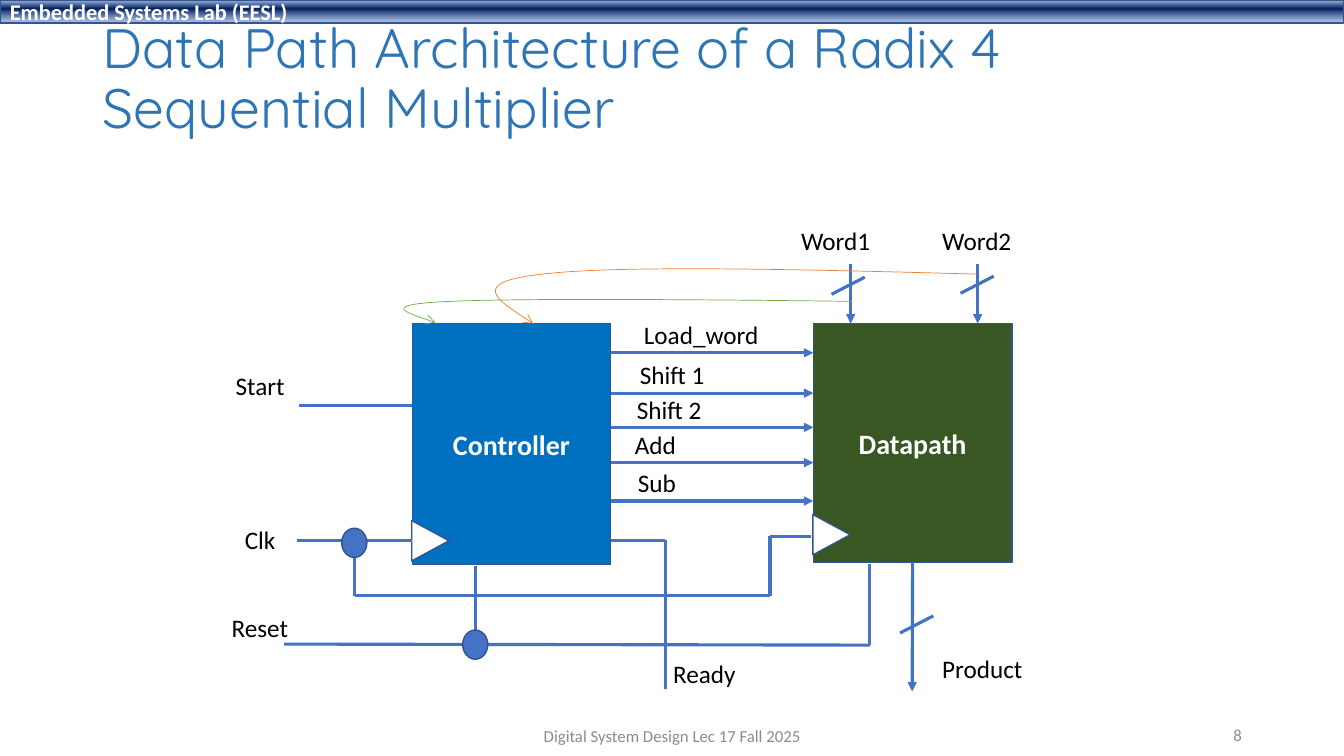
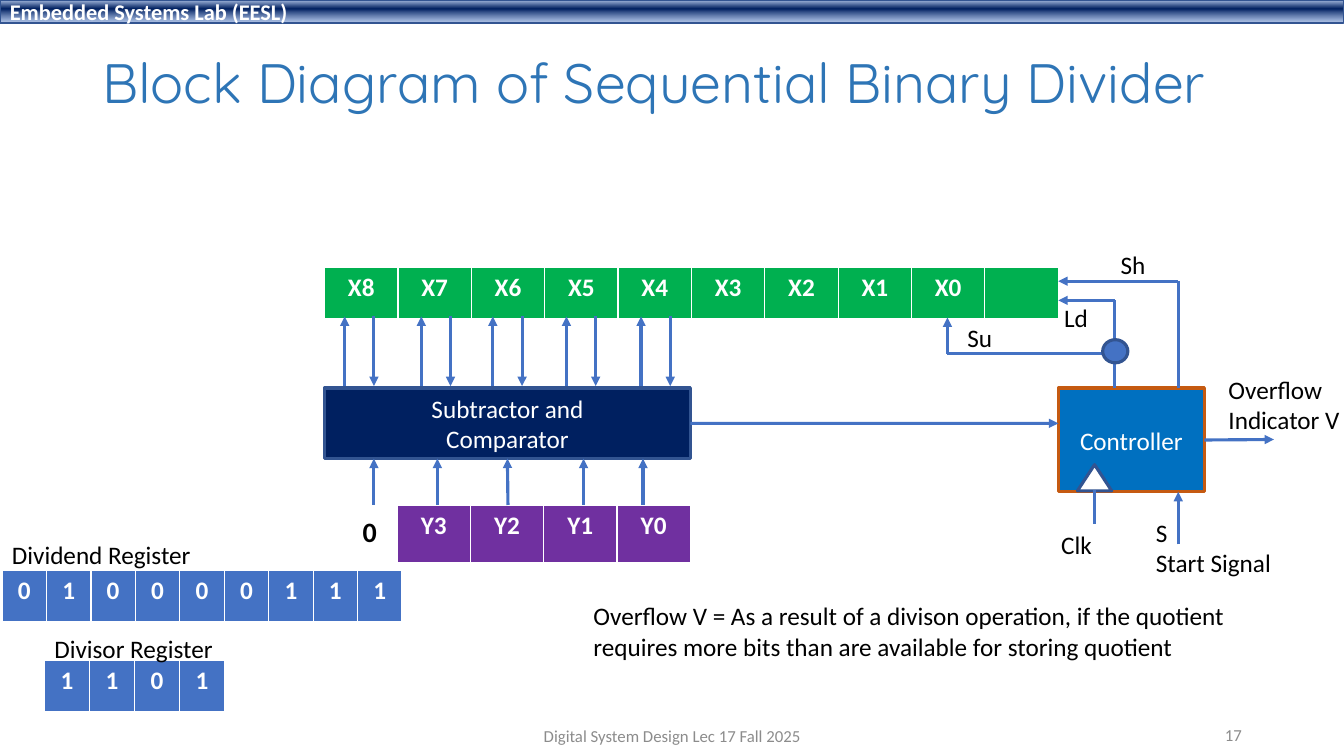
from lxml.etree import SubElement
from pptx import Presentation
from pptx.dml.color import RGBColor
from pptx.enum.shapes import MSO_CONNECTOR, MSO_SHAPE
from pptx.enum.text import MSO_ANCHOR, MSO_AUTO_SIZE, PP_ALIGN
from pptx.oxml.ns import qn
from pptx.util import Cm, Pt

COLORS = {
    "title": "2E75B6", "ink": "000000", "muted": "8C8C8C", "white": "FFFFFF",
    "wire": "4472C4", "edge": "325491", "blue": "0070C0", "navy": "002060",
    "forest": "385723", "green": "00B050", "purple": "7030A0", "rust": "C55A11",
    "leaf": "70AD47", "orange": "ED7D31",
}
BAND_STOPS = [(2, "ABC0E4", 100), (38, "002060", 100), (93, "7E9ED6", 64)]
LAB = "Embedded Systems Lab (EESL)"
FOOTER = "Digital System Design Lec 17 Fall 2025"

# All places below are in inches: x, y, then width and height.
MULTIPLIER = {
    "title": "Data Path Architecture of a Radix 4 Sequential Multiplier",
    "title_height": 1.3,
    "number": "8",
    "signals": [("Load_word", 6.29, 3.5), ("Shift 1", 6.25, 3.9), ("Shift 2", 6.22, 4.24),
                ("Add", 6.2, 4.59), ("Sub", 6.23, 4.97)],
    "labels": [("Start", 2.24, 3.62, 0.69), ("Clk", 2.33, 5.15, 0.51),
               ("Reset", 2.2, 6.03, 0.77), ("Ready", 6.58, 6.48, 0.83),
               ("Word1", 7.85, 2.19, 0.89), ("Word2", 9.25, 2.19, 0.89),
               ("Product", 9.25, 6.43, 1.01)],
    "wires": [
        [(2.97, 4.02), (4.09, 4.02)],
        [(4.09, 5.36), (2.95, 5.36)],
        [(8.05, 5.32), (7.64, 5.32), (7.64, 5.91), (3.52, 5.91), (3.52, 5.36)],
        [(4.72, 5.62), (4.72, 6.42)],
        [(8.63, 5.6), (8.63, 6.4), (2.82, 6.39)],
        [(6.06, 5.36), (6.6, 5.36), (6.6, 6.84)],
    ],
    "words": [8.44, 9.7],
    "bus_marks": [(8.25, 2.92), (9.53, 2.91), (8.93, 6.28)],
    "clock_marks": [(4.07, 5.18), (8.05, 5.12)],
    "dots": [(3.39, 5.24), (4.59, 6.25)],
    "curves": [
        ("leaf", [(8.45, 2.99), (6.8, 2.97), (5.16, 2.96), (4.47, 2.99),
                  (3.78, 3.02), (4.05, 3.11), (4.32, 3.2)]),
        ("orange", [(9.7, 2.72), (7.91, 2.67), (6.12, 2.63), (5.38, 2.72),
                    (4.65, 2.8), (4.97, 3), (5.29, 3.21)]),
    ],
}
DIVIDER = {
    "title": "Block Diagram of Sequential Binary Divider",
    "title_height": 1.4,
    "number": "17",
    "registers": [
        (["X8", "X7", "X6", "X5", "X4", "X3", "X2", "X1", "X0", ""],
         (3.22, 2.65, 7.28, 0.51), "green"),
        (["Y3", "Y2", "Y1", "Y0"], (3.94, 5.01, 2.91, 0.57), "purple"),
        (list("010000111"), (0.02, 5.66, 3.97, 0.51), "wire"),
        (list("1101"), (0.44, 6.55, 1.79, 0.51), "wire"),
    ],
    "exchange": [3.42, 4.18, 4.89, 5.62, 6.36],
    "divisor_inputs": [3.71, 4.34, 5.79, 6.38],
    "wires": [[(10.86, 4.86), (10.86, 5.2)]],
    "arrows": [
        [(11.06, 3.85), (11.06, 2.98), (10.5, 2.98)],
        [(11.69, 3.85), (11.69, 2.79), (10.5, 2.79)],
        [(11.06, 3.51), (9.4, 3.51), (9.4, 3.15)],
        [(11.69, 5.4), (11.69, 4.88)],
    ],
    "labels": [
        ("Clk", 10.43, 5.2, 0.51), ("Ld", 10.46, 2.95, 0.44),
        ("Sh", 11.02, 2.42, 0.45), ("Su", 9.5, 3.15, 0.45),
        ("Overflow\nIndicator V", 12.09, 3.66, 1.32),
        ("S\nStart Signal", 11.37, 5.08, 1.35),
        ("Dividend Register", 0.02, 5.3, 2), ("Divisor Register", 0.44, 6.23, 1.79),
        ("Overflow V = As a result of a divison operation, if the quotient\n"
         "requires more bits than are available for storing quotient", 5.79, 5.91, 6.54),
    ],
}


def inches(*values):
    return [Cm(value * 2.54) for value in values]


def color(name):
    return RGBColor.from_string(COLORS[name])


def write(frame, text, size=18, ink="ink", bold=False, font="Calibri",
          align=PP_ALIGN.LEFT, anchor=MSO_ANCHOR.MIDDLE, spacing=None, wrap=True):
    frame.word_wrap = wrap
    frame.vertical_anchor = anchor
    for index, line in enumerate(text.split("\n")):
        paragraph = frame.add_paragraph() if index else frame.paragraphs[0]
        paragraph.alignment = align
        if spacing:
            paragraph.line_spacing = spacing
        run = paragraph.add_run()
        run.text = line
        run.font.name, run.font.size, run.font.bold = font, Pt(size), bold
        run.font.color.rgb = color(ink)


def text_area(slide, place, text, **style):
    write(slide.shapes.add_textbox(*inches(*place)).text_frame, text, **style)


def label(slide, text, x, y, width, **style):
    height = 0.4 + 0.31 * text.count("\n")
    frame = slide.shapes.add_textbox(*inches(x, y, width, height)).text_frame
    write(frame, text, anchor=MSO_ANCHOR.TOP, wrap=False, **style)
    frame.auto_size = MSO_AUTO_SIZE.SHAPE_TO_FIT_TEXT


def block(slide, place, fill, kind=MSO_SHAPE.RECTANGLE, edge="edge", weight=1, turn=0):
    shape = slide.shapes.add_shape(kind, *inches(*place))
    shape.shadow.inherit = False
    shape.fill.solid()
    shape.fill.fore_color.rgb = color(fill)
    shape.line.color.rgb = color(edge)
    shape.line.width = Pt(weight)
    shape.rotation = turn
    return shape


def named_block(slide, place, fill, name, size=18, bold=False, **look):
    shape = block(slide, place, fill, **look)
    write(shape.text_frame, name, size=size, ink="white", bold=bold, align=PP_ALIGN.CENTER)
    return shape


def add_arrowhead(shape, style):
    SubElement(shape.element.spPr.get_or_add_ln(), qn("a:tailEnd"), type=style)


def wire(slide, points, arrow=False):
    """Draw one straight connector per leg and return the last one."""
    for start, end in zip(points, points[1:]):
        leg = slide.shapes.add_connector(MSO_CONNECTOR.STRAIGHT, *inches(*start, *end))
        leg.line.color.rgb = color("wire")
        leg.line.width = Pt(2.25)
        SubElement(leg.element.spPr, qn("a:effectLst"))
    if arrow:
        add_arrowhead(leg, "triangle")
    return leg


def curved_arrow(slide, points, ink):
    """Draw a chain of cubic curves: a start, then three points for each curve."""
    points = [inches(*point) for point in points]
    builder = slide.shapes.build_freeform(*points[0])
    builder.add_line_segments(points[1:], close=False)
    curve = builder.convert_to_shape()
    curve.shadow.inherit = False
    curve.fill.background()
    curve.line.color.rgb = color(ink)
    curve.line.width = Pt(0.5)
    add_arrowhead(curve, "arrow")
    outline = next(curve.element.iter(qn("a:path")))
    legs = outline.findall(qn("a:lnTo"))
    for first in range(0, len(legs), 3):
        bend = SubElement(outline, qn("a:cubicBezTo"))
        for leg in legs[first:first + 3]:
            bend.append(leg[0])
            outline.remove(leg)


def register(slide, bits, place, fill):
    table = slide.shapes.add_table(1, len(bits), *inches(*place)).table
    table.horz_banding = False
    for column, bit in enumerate(bits):
        table.columns[column].width = inches(place[2] / len(bits))[0]
        cell = table.cell(0, column)
        cell.fill.solid()
        cell.fill.fore_color.rgb = color(fill)
        if bit:
            write(cell.text_frame, bit, ink="white", bold=True, align=PP_ALIGN.CENTER,
                  anchor=MSO_ANCHOR.TOP)


def lab_band(slide):
    band = block(slide, (0, 0, 13.33, 0.23), "navy")
    band.fill.gradient()
    band.fill.gradient_angle = 270
    stops = next(band.element.iter(qn("a:gsLst")))
    for stop in list(stops):
        stops.remove(stop)
    for position, shade, opacity in BAND_STOPS:
        stop = SubElement(stops, qn("a:gs"), pos=str(position * 1000))
        tint = SubElement(stop, qn("a:srgbClr"), val=shade)
        if opacity < 100:
            SubElement(tint, qn("a:alpha"), val=str(opacity * 1000))
    write(band.text_frame, LAB, size=16, ink="white", bold=True)


def start_slide(deck, content):
    slide = deck.slides.add_slide(deck.slide_layouts[6])
    lab_band(slide)
    text_area(slide, (0.92, 0.15, 11.5, content["title_height"]), content["title"],
              size=39.6, ink="title", font="Quicksand", spacing=0.9)
    text_area(slide, (4.42, 7.1, 4.5, 0.4), FOOTER, size=12, ink="muted",
              align=PP_ALIGN.CENTER)
    text_area(slide, (9.42, 7.09, 3, 0.4), content["number"], size=12, ink="muted",
              align=PP_ALIGN.RIGHT)
    return slide


def multiplier_slide(deck):
    slide = start_slide(deck, MULTIPLIER)
    named_block(slide, (4.09, 3.21, 1.97, 2.39), "blue", "Controller", size=20, bold=True)
    datapath = named_block(slide, (8.07, 3.21, 1.97, 2.37), "forest", "Datapath",
                           size=20, bold=True)
    for x, y in MULTIPLIER["clock_marks"]:
        block(slide, (x, y, 0.4, 0.37), "white", MSO_SHAPE.ISOSCELES_TRIANGLE, turn=90)
    for name, x, y in MULTIPLIER["signals"]:
        wire(slide, [(6.06, y), (8.07, y)], arrow=True)
        label(slide, name, x, y - 0.38, 1.35)
    for points in MULTIPLIER["wires"]:
        wire(slide, points)
    for x in MULTIPLIER["words"]:
        wire(slide, [(x, 2.62), (x, 3.21)], arrow=True)
    product = wire(slide, [(9.05, 5.59), (9.05, 6.86)], arrow=True)
    product.begin_connect(datapath, 2)
    for x, y in MULTIPLIER["bus_marks"]:
        wire(slide, [(x, y), (x + 0.33, y - 0.17)])
    for x, y in MULTIPLIER["dots"]:
        block(slide, (x, y, 0.25, 0.29), "wire", MSO_SHAPE.OVAL)
    for ink, points in MULTIPLIER["curves"]:
        curved_arrow(slide, points, ink)
    for caption in MULTIPLIER["labels"]:
        label(slide, *caption)


def divider_slide(deck):
    slide = start_slide(deck, DIVIDER)
    for bits, place, fill in DIVIDER["registers"]:
        register(slide, bits, place, fill)
    subtractor = named_block(slide, (3.22, 3.85, 3.63, 0.7), "navy",
                             "Subtractor and\nComparator", weight=2.25)
    controller = named_block(slide, (10.5, 3.85, 1.45, 1.03), "blue", "Controller",
                             edge="rust", weight=2.25)
    block(slide, (10.69, 4.61, 0.34, 0.26), "white", MSO_SHAPE.ISOSCELES_TRIANGLE, weight=2.25)
    for x in DIVIDER["exchange"]:
        wire(slide, [(x, 3.83), (x, 3.14)], arrow=True)
        wire(slide, [(x + 0.29, 3.14), (x + 0.29, 3.83)], arrow=True)
    for x in DIVIDER["divisor_inputs"]:
        wire(slide, [(x, 5.01), (x, 4.55)], arrow=True)
    wire(slide, [(5.04, 5.01), (5.04, 4.55)], arrow=True).end_connect(subtractor, 2)
    wire(slide, [(6.85, 4.2), (10.5, 4.2)], arrow=True).begin_connect(subtractor, 3)
    wire(slide, [(11.95, 4.36), (12.64, 4.36)], arrow=True).begin_connect(controller, 3)
    for points in DIVIDER["wires"]:
        wire(slide, points)
    for points in DIVIDER["arrows"]:
        wire(slide, points, arrow=True)
    block(slide, (10.94, 3.37, 0.25, 0.23), "wire", MSO_SHAPE.OVAL, weight=2.25)
    for caption in DIVIDER["labels"]:
        label(slide, *caption)
    label(slide, "0", 3.5, 5.06, 0.34, size=20, bold=True)


def main():
    deck = Presentation()
    deck.slide_width, deck.slide_height = Cm(33.87), Cm(19.05)
    multiplier_slide(deck)
    divider_slide(deck)
    deck.save("out.pptx")


if __name__ == "__main__":
    main()
